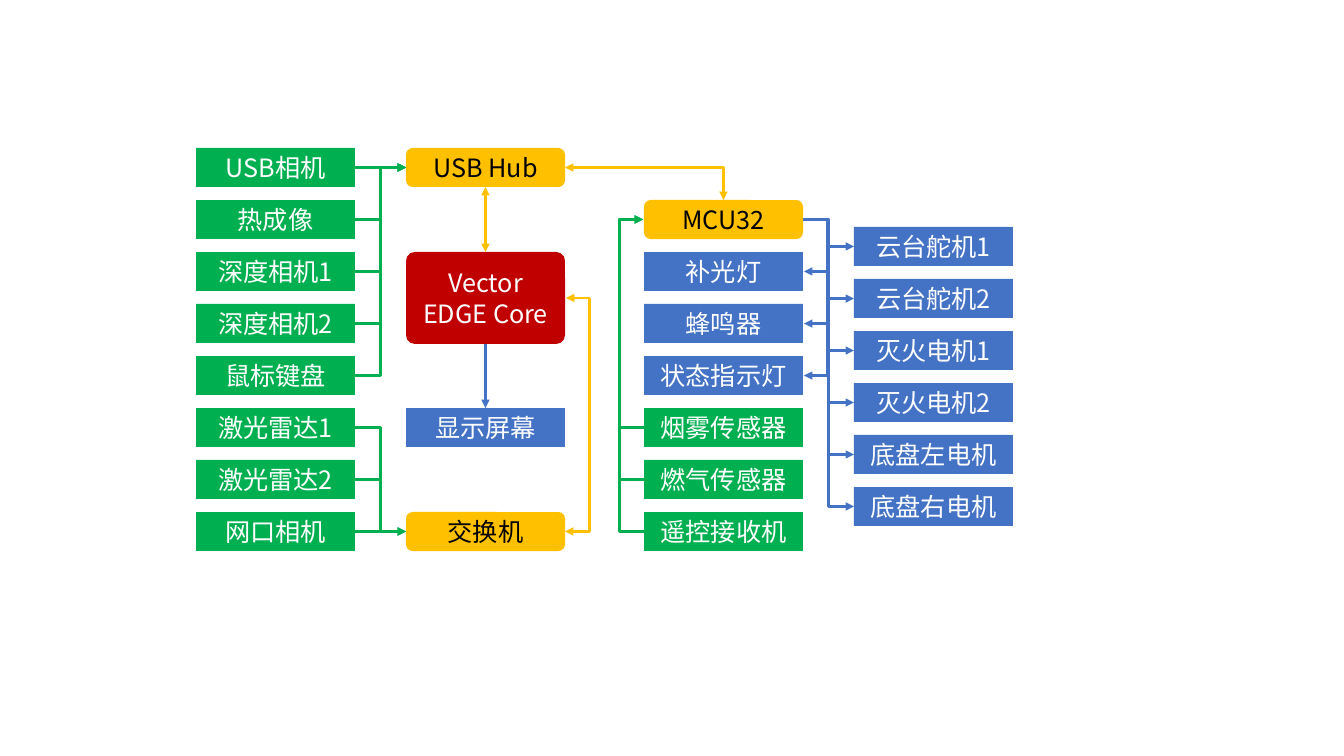
from lxml.etree import SubElement
from pptx import Presentation
from pptx.dml.color import RGBColor
from pptx.enum.shapes import MSO_CONNECTOR as LINK, MSO_SHAPE as SHAPE
from pptx.enum.text import MSO_ANCHOR, PP_ALIGN
from pptx.oxml.ns import qn
from pptx.util import Emu, Pt

FONT = "Noto Sans CJK SC"
COLORS = {"input": "00B050", "output": "4472C4", "hub": "FFC000",
          "main": "C00000", "light": "FFFFFF", "dark": "000000"}

# Content: boxes of each column, top to bottom
USB_INPUTS = ["USB相机", "热成像", "深度相机1", "深度相机2", "鼠标键盘"]
NET_INPUTS = ["激光雷达1", "激光雷达2", "网口相机"]
USB_HUB, SWITCH, MCU, SCREEN = "USB Hub", "交换机", "MCU32", "显示屏幕"
MAIN = "Vector\nEDGE Core"
MCU_OUTPUTS = ["补光灯", "蜂鸣器", "状态指示灯"]
MCU_INPUTS = ["烟雾传感器", "燃气传感器", "遥控接收机"]
MOTORS = ["云台舵机1", "云台舵机2", "灭火电机1", "灭火电机2", "底盘左电机", "底盘右电机"]

# Grid in px
BOX_W, BOX_H, MAIN_H = 159, 39, 92
ROW_TOP, ROW_STEP, MOTOR_TOP = 148, 52, 227
SENSOR_X, CORE_X, MCU_X, MOTOR_X = 196, 406, 644, 854
LOOP_REACH = 25
TOP, LEFT, BOTTOM, RIGHT = range(4)  # connection sites


def px(length):
    return Emu(round(length * 914400 / 100.8))


def color(name):
    return RGBColor.from_string(COLORS[name])


def row(index):
    return ROW_TOP + index * ROW_STEP


prs = Presentation()
prs.slide_width, prs.slide_height = px(1344), px(756)
slide = prs.slides.add_slide(prs.slide_layouts[6])
boxes = {}


def add_box(label, x, y, role, height=BOX_H):
    rounded = role in ("hub", "main")
    kind = SHAPE.ROUNDED_RECTANGLE if rounded else SHAPE.RECTANGLE
    box = slide.shapes.add_shape(kind, px(x), px(y), px(BOX_W), px(height))
    box.shadow.inherit = False
    box.fill.solid()
    box.fill.fore_color.rgb = color(role)
    box.line.fill.background()
    if role == "main":
        box.adjustments[0] = 0.095
    frame = box.text_frame
    frame.word_wrap = True
    frame.vertical_anchor = MSO_ANCHOR.MIDDLE
    for i, line in enumerate(label.split("\n")):
        paragraph = frame.paragraphs[0] if i == 0 else frame.add_paragraph()
        paragraph.alignment = PP_ALIGN.CENTER
        run = paragraph.add_run()
        run.text = line
        run.font.size = Pt(18)
        run.font.name = FONT
        run.font.color.rgb = color("dark" if role == "hub" else "light")
        SubElement(run.font._element, qn("a:ea"), typeface=FONT)
    boxes[label] = box


def link(start, start_site, end, end_site, role, both=False):
    """Glue a line between two boxes; equal sites make a loop around the side."""
    vertical = {start_site, end_site} == {TOP, BOTTOM}
    kind = LINK.STRAIGHT if vertical else LINK.ELBOW
    line = slide.shapes.add_connector(kind, 0, 0, 0, 0)
    line.begin_connect(boxes[start], start_site)
    line.end_connect(boxes[end], end_site)
    props = line._element.spPr
    geometry = props.find(qn("a:prstGeom"))
    if start_site == end_site:
        line.end_x = line.end_x + px(1 if end_site == RIGHT else -1)
        guides = geometry.find(qn("a:avLst"))
        if guides is None:
            guides = SubElement(geometry, qn("a:avLst"))
        SubElement(guides, qn("a:gd"), name="adj1", fmla=f"val {LOOP_REACH * 100000}")
    elif end_site == TOP and not vertical:
        geometry.set("prst", "bentConnector2")
    line.line.color.rgb = color(role)
    line.line.width = Pt(2)
    stroke = props.find(qn("a:ln"))
    for tag in ("a:headEnd", "a:tailEnd") if both else ("a:tailEnd",):
        SubElement(stroke, qn(tag), type="triangle")
    SubElement(props, qn("a:effectLst"))


# Boxes
for i, label in enumerate(USB_INPUTS + NET_INPUTS):
    add_box(label, SENSOR_X, row(i), "input")
add_box(USB_HUB, CORE_X, row(0), "hub")
add_box(MAIN, CORE_X, row(2), "main", MAIN_H)
add_box(SCREEN, CORE_X, row(5), "output")
add_box(SWITCH, CORE_X, row(7), "hub")
add_box(MCU, MCU_X, row(1), "hub")
for i, label in enumerate(MCU_OUTPUTS + MCU_INPUTS):
    add_box(label, MCU_X, row(2 + i), "output" if label in MCU_OUTPUTS else "input")
for i, label in enumerate(MOTORS):
    add_box(label, MOTOR_X, MOTOR_TOP + i * ROW_STEP, "output")

# Inputs
for label in USB_INPUTS:
    link(label, RIGHT, USB_HUB, LEFT, "input")
for label in NET_INPUTS:
    link(label, RIGHT, SWITCH, LEFT, "input")
for label in MCU_INPUTS:
    link(label, LEFT, MCU, LEFT, "input")

# Outputs
link(MAIN, BOTTOM, SCREEN, TOP, "output")
for label in MOTORS:
    link(MCU, RIGHT, label, LEFT, "output")
for label in MCU_OUTPUTS:
    link(MCU, RIGHT, label, RIGHT, "output")

# Two-way links
link(USB_HUB, BOTTOM, MAIN, TOP, "hub", both=True)
link(SWITCH, RIGHT, MAIN, RIGHT, "hub", both=True)
link(USB_HUB, RIGHT, MCU, TOP, "hub", both=True)

prs.save("out.pptx")
